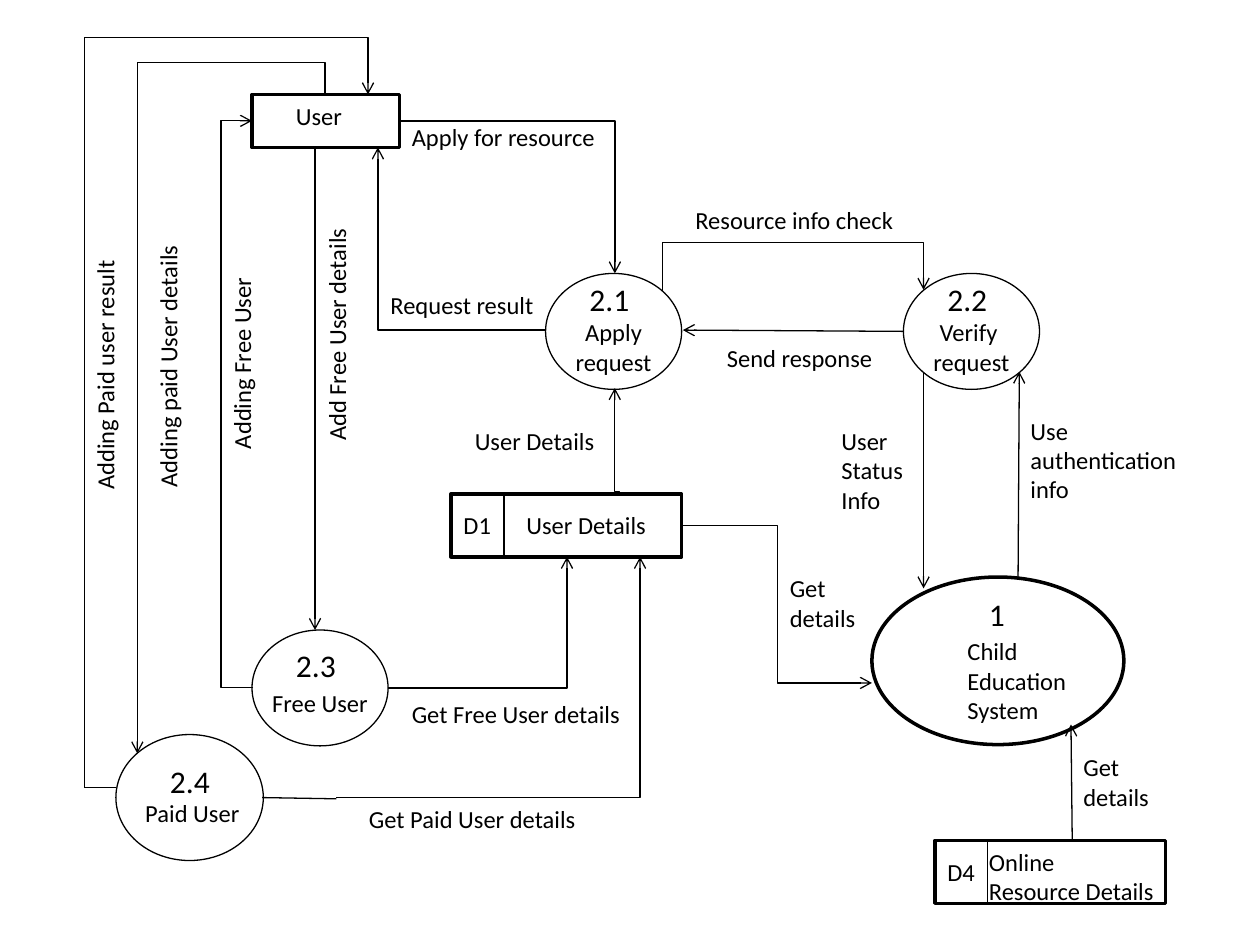
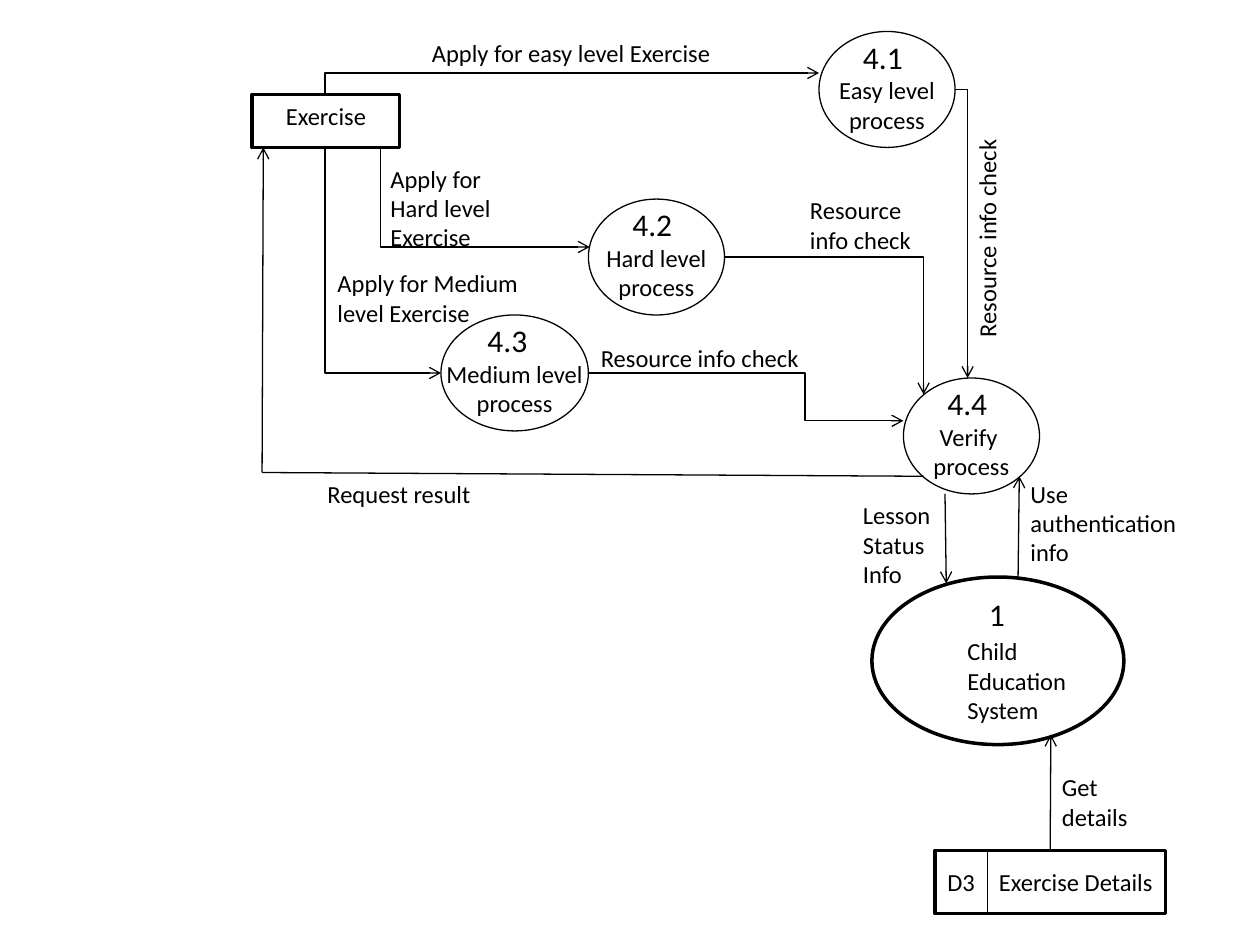
from lxml import etree
from pptx import Presentation
from pptx.dml.color import RGBColor
from pptx.enum.shapes import MSO_CONNECTOR, MSO_SHAPE
from pptx.enum.text import MSO_ANCHOR, PP_ALIGN
from pptx.oxml.ns import qn
from pptx.util import Inches, Pt

BLACK = RGBColor(0x00, 0x00, 0x00)
FONT = "Calibri"
TEXT_SIZE, NUMBER_SIZE = 14, 18
THIN, THICK = 0.75, 2
RECTANGLE, OVAL = MSO_SHAPE.RECTANGLE, MSO_SHAPE.OVAL
STRAIGHT, ELBOW = MSO_CONNECTOR.STRAIGHT, MSO_CONNECTOR.ELBOW
CENTER, LEFT = PP_ALIGN.CENTER, PP_ALIGN.LEFT
MIDDLE = MSO_ANCHOR.MIDDLE
TOP_SIDE = 0
QUARTER_TURN = "5400000"


class FlowDiagram:
    """Draws data flow diagrams in one black outline style."""

    def __init__(self):
        self.deck = Presentation()
        self.deck.slide_width, self.deck.slide_height = Inches(10), Inches(7.5)
        self.page = None

    def new_page(self):
        self.page = self.deck.slides.add_slide(self.deck.slide_layouts[6])

    def fill_text(self, frame, text, size=TEXT_SIZE, align=LEFT):
        frame.text = text
        for para in frame.paragraphs:
            para.alignment = align
            for span in para.runs:
                span.font.name, span.font.size = FONT, Pt(size)
                span.font.color.rgb = BLACK

    def label(self, left, top, width, text, size=TEXT_SIZE, rotation=0):
        height = 0.1 + len(text.split("\n")) * size / 60
        box = self.page.shapes.add_textbox(
            Inches(left), Inches(top), Inches(width), Inches(height))
        box.text_frame.word_wrap = True
        box.rotation = rotation
        self.fill_text(box.text_frame, text, size)

    def outline(self, kind, left, top, width, height, weight=THICK):
        shape = self.page.shapes.add_shape(
            kind, Inches(left), Inches(top), Inches(width), Inches(height))
        shape.shadow.inherit = False
        shape.fill.background()
        shape.line.color.rgb = BLACK
        shape.line.width = Pt(weight)
        return shape

    def process(self, left, top, number, name, width=1.08, height=0.92,
                number_offset=(0.25, 0)):
        circle = self.outline(OVAL, left, top, width, height, THIN)
        frame = circle.text_frame
        frame.word_wrap = False
        frame.vertical_anchor = MIDDLE
        frame.margin_top = Inches(0.29)
        self.fill_text(frame, name, align=CENTER)
        shift_x, shift_y = number_offset
        self.label(left + shift_x, top + shift_y, 0.52, number, NUMBER_SIZE)

    def entity(self, name, text_left, text_width):
        self.outline(RECTANGLE, 2, 0.75, 1.17, 0.42)
        self.label(text_left, 0.75, text_width, name)

    def store(self, left, top, code, name, name_offset, name_width):
        box = self.outline(RECTANGLE, left, top, 1.83, 0.5)
        divider = left + 0.42
        self.flow((divider, top), (divider, top + 0.5), arrow=False)
        self.label(left, top + 0.08, 0.42, code)
        shift_x, shift_y = name_offset
        self.label(left + shift_x, top + shift_y, name_width, name)
        return box

    def system(self):
        self.outline(OVAL, 6.92, 4.58, 2, 1.33)
        self.label(7.58, 5, 2, "Child\nEducation\nSystem")
        self.label(7.75, 4.67, 0.33, "1", NUMBER_SIZE)

    def flow(self, *points, arrow=True):
        (x1, y1), (x2, y2) = points[0], points[-1]
        bent = len(points) > 2
        upright = bent and points[0][0] == points[1][0]
        start, end = (x1, y1), (x2, y2)
        if upright:
            mid_x, mid_y = (x1 + x2) / 2, (y1 + y2) / 2
            half_x, half_y = (x2 - x1) / 2, (y2 - y1) / 2
            start = (mid_x - half_y, mid_y + half_x)
            end = (mid_x + half_y, mid_y - half_x)
        connector = self.page.shapes.add_connector(
            ELBOW if bent else STRAIGHT, *map(Inches, start + end))
        connector.line.color.rgb = BLACK
        connector.line.width = Pt(THIN)
        properties = connector._element.spPr
        if upright:
            properties.find(qn("a:xfrm")).set("rot", QUARTER_TURN)
        if bent:
            geometry = properties.find(qn("a:prstGeom"))
            geometry.set("prst", f"bentConnector{len(points) - 1}")
            if len(points) == 4:
                axis = 1 if upright else 0
                first, turn, last = (points[i][axis] for i in (0, 1, 3))
                ratio = round((turn - first) / (last - first) * 100000)
                etree.SubElement(geometry.find(qn("a:avLst")), qn("a:gd"),
                                 name="adj1", fmla=f"val {ratio}")
        if arrow:
            etree.SubElement(properties.find(qn("a:ln")), qn("a:tailEnd"), type="arrow")
        etree.SubElement(properties, qn("a:effectLst"))
        return connector


def draw_user_page(diagram):
    diagram.new_page()
    diagram.system()
    diagram.entity("User", 2.25, 0.57)
    diagram.store(3.58, 3.92, "D1", "User Details", (0.5, 0.08), 1.16)
    diagram.store(7.42, 6.67, "D4", "Online\nResource Details", (0.33, 0), 1.52)
    diagram.process(4.33, 2.17, "2.1", "Apply\nrequest")
    diagram.process(7.17, 2.17, "2.2", "Verify \nrequest")
    diagram.process(2, 5, "2.3", "Free User", number_offset=(0.25, 0.08))
    diagram.process(0.92, 5.83, "2.4", " Paid User", 1.17, 1, (0.33, 0.17))

    for points in (
        ((3.17, 0.96), (4.88, 0.96), (4.88, 2.17)),
        ((5.26, 2.31), (5.26, 1.92), (7.33, 1.92), (7.33, 2.3)),
        ((8.08, 4.58), (8.09, 2.95)),
        ((7.33, 2.95), (7.33, 4.67)),
        ((2.5, 1.17), (2.5, 5)),
        ((3.08, 5.46), (4.5, 5.46), (4.5, 4.42)),
        ((2.01, 5.46), (1.75, 5.46), (1.75, 0.96), (2, 0.96)),
        ((4.33, 2.62), (3, 2.62), (3, 1.17)),
        ((4.92, 3.92), (4.92, 3.9), (4.88, 3.9), (4.88, 3.08)),
        ((2.58, 0.75), (2.58, 0.5), (1.09, 0.5), (1.09, 5.98)),
        ((2.67, 6.33), (5.08, 6.33), (5.08, 4.42)),
        ((0.67, 6.25), (0.67, 0.3), (2.92, 0.3), (2.92, 0.75)),
        ((5.42, 4.17), (6.17, 4.17), (6.17, 5.42), (6.92, 5.42)),
        ((7.17, 2.63), (5.42, 2.62)),
        ((8.51, 6.67), (8.5, 5.75)),
    ):
        diagram.flow(*points)
    diagram.flow((2.67, 6.34), (2.08, 6.33), arrow=False)
    diagram.flow((0.67, 6.25), (0.92, 6.25), arrow=False)

    for left, top, width, text in (
        (3.17, 0.92, 1.71, "Apply for resource"),
        (5.42, 1.58, 1.78, "Resource info check"),
        (8.08, 3.25, 1.42, "Use\nauthentication\ninfo"),
        (6.58, 3.33, 0.75, "User\nStatus\nInfo"),
        (3.17, 5.5, 1.87, "Get Free User details"),
        (3, 2.25, 1.35, "Request result"),
        (3.67, 3.33, 1.16, "User Details"),
        (2.83, 6.33, 1.86, "Get Paid User details"),
        (6.17, 4.5, 0.73, "Get\ndetails"),
        (5.67, 2.67, 1.37, "Send response"),
        (8.5, 5.92, 0.73, "Get\ndetails"),
    ):
        diagram.label(left, top, width, text)
    for left, top, width, text in (
        (1.72, 2.48, 1.9, "Add Free User details"),
        (1.13, 2.71, 1.57, "Adding Free User"),
        (0.26, 2.73, 2.14, "Adding paid User details"),
        (-0.19, 2.8, 2.04, "Adding Paid user result"),
    ):
        diagram.label(left, top, width, text, rotation=270)


def draw_exercise_page(diagram):
    diagram.new_page()
    diagram.system()
    diagram.entity("Exercise", 2.17, 0.85)
    details = diagram.store(7.42, 6.75, "D3", "Exercise Details", (0.41, 0.08), 1.44)
    diagram.process(6.5, 0.25, "4.1", "Easy level\nprocess")
    diagram.process(4.67, 1.58, "4.2", "Hard level\nprocess")
    diagram.process(3.5, 2.5, "4.3", "Medium level\nprocess", 1.17,
                    number_offset=(0.27, 0))
    diagram.process(7.17, 3, "4.4", "Verify \nprocess")

    for points in (
        ((2.58, 0.75), (2.58, 0.58), (6.5, 0.58)),
        ((7.58, 0.71), (7.68, 0.71), (7.68, 3)),
        ((8.08, 4.58), (8.09, 3.78)),
        ((7.5, 3.92), (7.51, 4.63)),
        ((5.75, 2.04), (7.33, 2.04), (7.33, 3.13)),
        ((3, 1.17), (3.02, 1.17), (3.02, 1.96), (4.68, 1.96)),
        ((2.08, 3.75), (2.09, 1.17)),
        ((2.58, 1.17), (2.58, 2.96), (3.5, 2.96)),
        ((4.67, 2.96), (6.39, 2.96), (6.39, 3.34), (7.17, 3.34)),
    ):
        diagram.flow(*points)
    diagram.flow((7.33, 3.78), (2.08, 3.75), arrow=False)
    diagram.flow((8.33, 6.75), (8.34, 5.83)).begin_connect(details, TOP_SIDE)

    for left, top, width, text in (
        (3.33, 0.25, 2.43, "Apply for easy level Exercise"),
        (8.08, 3.75, 1.42, "Use\nauthentication\ninfo"),
        (6.75, 3.92, 0.79, "Lesson\nStatus\nInfo"),
        (2.5, 3.75, 1.35, "Request result"),
        (8.33, 6.08, 0.73, "Get\ndetails"),
        (6.33, 1.5, 1.01, "Resource\ninfo check"),
        (3, 1.25, 1.01, "Apply for\nHard level\nExercise"),
        (2.58, 2.08, 1.69, "Apply for Medium\nlevel Exercise"),
        (4.67, 2.67, 1.78, "Resource info check"),
    ):
        diagram.label(left, top, width, text)
    diagram.label(6.94, 1.72, 1.78, "Resource info check", rotation=270)


def main():
    diagram = FlowDiagram()
    draw_user_page(diagram)
    draw_exercise_page(diagram)
    diagram.deck.save("out.pptx")


if __name__ == "__main__":
    main()
